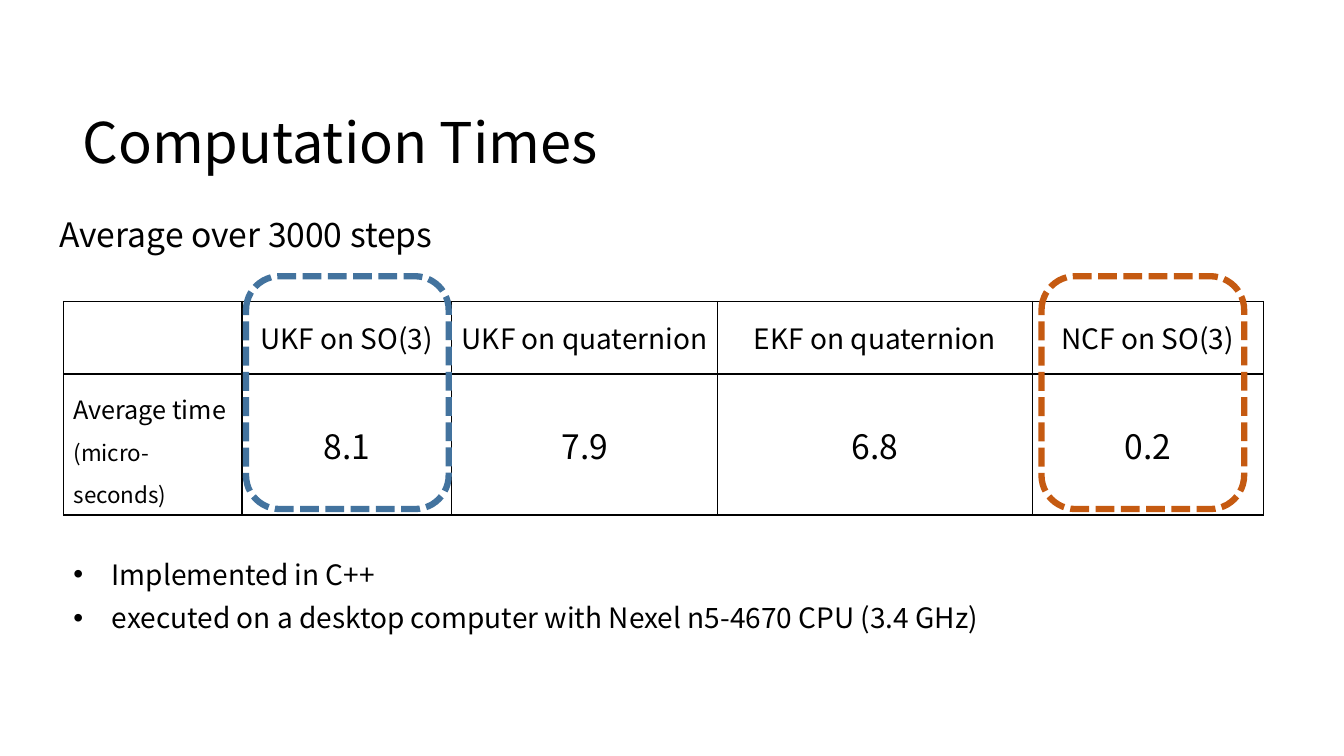
from lxml.etree import SubElement
from pptx import Presentation
from pptx.dml.color import RGBColor
from pptx.enum.dml import MSO_LINE
from pptx.enum.shapes import MSO_SHAPE
from pptx.enum.text import MSO_ANCHOR, PP_ALIGN
from pptx.oxml.ns import qn
from pptx.util import Inches, Pt

FONT = "Noto Sans CJK KR"
BLACK = "000000"
COLUMNS = [1.77, 2.08, 2.64, 3.12, 2.29]
ROWS = [0.72, 1.40]
METHODS = ["UKF on SO(3)", "UKF on quaternion", "EKF on quaternion", "NCF on SO(3)"]
TIMES = ["8.1", "7.9", "6.8", "0.2"]
SETUP = ["Implemented in C++",
         "executed on a desktop computer with Nexel n5-4670 CPU (3.4 GHz)"]


def color(value):
    return RGBColor.from_string(value)


def inches(box):
    return [Inches(length) for length in box]


def add_bullet(paragraph, indent):
    properties = paragraph._p.get_or_add_pPr()
    properties.set("marL", str(Inches(indent)))
    properties.set("indent", str(-Inches(indent)))
    SubElement(properties, qn("a:buFont"), typeface="Arial")
    SubElement(properties, qn("a:buChar"), char="•")


def write(frame, lines, sizes, align=PP_ALIGN.LEFT, spacing=1.0, bullet_indent=None):
    for index, (line, size) in enumerate(zip(lines, sizes)):
        paragraph = frame.add_paragraph() if index else frame.paragraphs[0]
        paragraph.text = line
        paragraph.alignment = align
        paragraph.line_spacing = spacing
        if bullet_indent:
            add_bullet(paragraph, bullet_indent)
        font = paragraph.font
        font.name, font.size, font.bold = FONT, Pt(size), False
        font.color.rgb = color(BLACK)


def add_text(slide, box, lines, size, **style):
    frame = slide.shapes.add_textbox(*inches(box)).text_frame
    frame.word_wrap = True
    frame.vertical_anchor = MSO_ANCHOR.MIDDLE
    write(frame, lines, [size] * len(lines), **style)


def style_cell(cell):
    properties = cell._tc.get_or_add_tcPr()
    for side in ("lnL", "lnR", "lnT", "lnB"):
        border = SubElement(properties, qn(f"a:{side}"), w=str(Pt(1)))
        fill = SubElement(border, qn("a:solidFill"))
        SubElement(fill, qn("a:srgbClr"), val=BLACK)
    cell.fill.background()
    cell.vertical_anchor = MSO_ANCHOR.MIDDLE


def add_times_table(slide, left, top):
    box = inches((left, top, sum(COLUMNS), sum(ROWS)))
    table = slide.shapes.add_table(len(ROWS), len(COLUMNS), *box).table
    table.first_row = table.horz_banding = False
    for column, width in zip(table.columns, COLUMNS):
        column.width = Inches(width)
    for row, height in zip(table.rows, ROWS):
        row.height = Inches(height)
    for cell in table.iter_cells():
        style_cell(cell)
    write(table.cell(1, 0).text_frame, ["Average time", "(micro-seconds)"], [18, 16], spacing=1.3)
    for row, (values, size) in enumerate([(METHODS, 20), (TIMES, 24)]):
        for column, value in enumerate(values, 1):
            write(table.cell(row, column).text_frame, [value], [size], align=PP_ALIGN.CENTER)


def add_highlight(slide, left, top, column, inset, line_color):
    box = (left + sum(COLUMNS[:column]) + inset, top - 0.25, 2.01, 2.31)
    shape = slide.shapes.add_shape(MSO_SHAPE.ROUNDED_RECTANGLE, *inches(box))
    shape.shadow.inherit = False
    shape.fill.background()
    shape.line.color.rgb = color(line_color)
    shape.line.width = Pt(4.5)
    shape.line.dash_style = MSO_LINE.SQUARE_DOT


def add_results(slide, left, top):
    add_times_table(slide, left, top)
    add_highlight(slide, left, top, 1, 0.04, "43739E")
    add_highlight(slide, left, top, 4, 0.09, "C55A11")


def main():
    presentation = Presentation()
    presentation.slide_width, presentation.slide_height = Inches(13.33), Inches(7.5)
    slide = presentation.slides.add_slide(presentation.slide_layouts[6])
    add_text(slide, (0.72, 0.98, 9.21, 0.93), ["Computation Times"], 40, spacing=0.9)
    add_text(slide, (0.01, 2.07, 4.86, 0.55), ["Average over 3000 steps"], 24,
             align=PP_ALIGN.CENTER, spacing=0.9)
    add_results(slide, 0.63, 2.99)
    add_text(slide, (0.63, 5.23, 11.56, 1.26), SETUP, 20,
             align=PP_ALIGN.JUSTIFY, spacing=1.3, bullet_indent=0.38)
    presentation.save("out.pptx")


if __name__ == "__main__":
    main()
